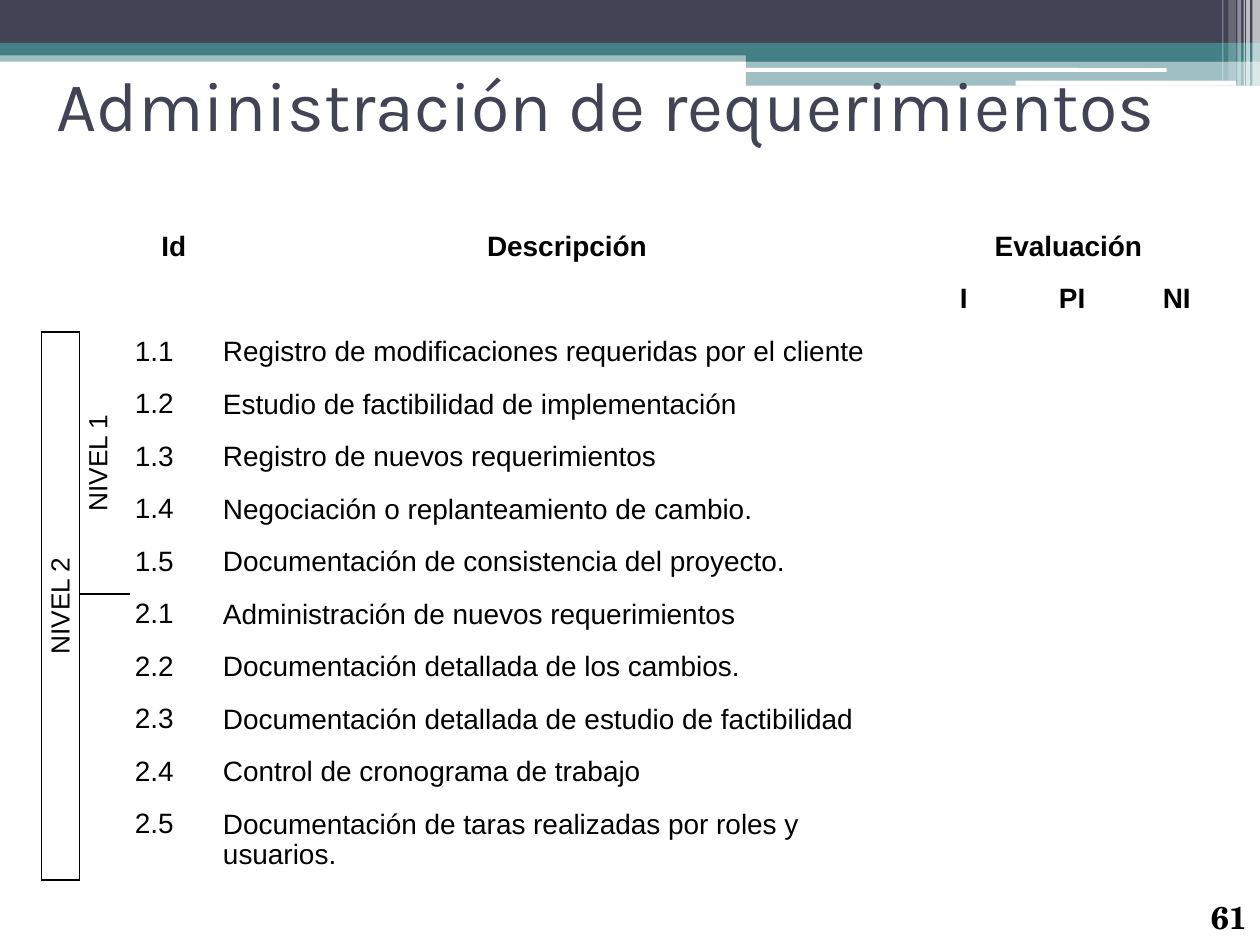
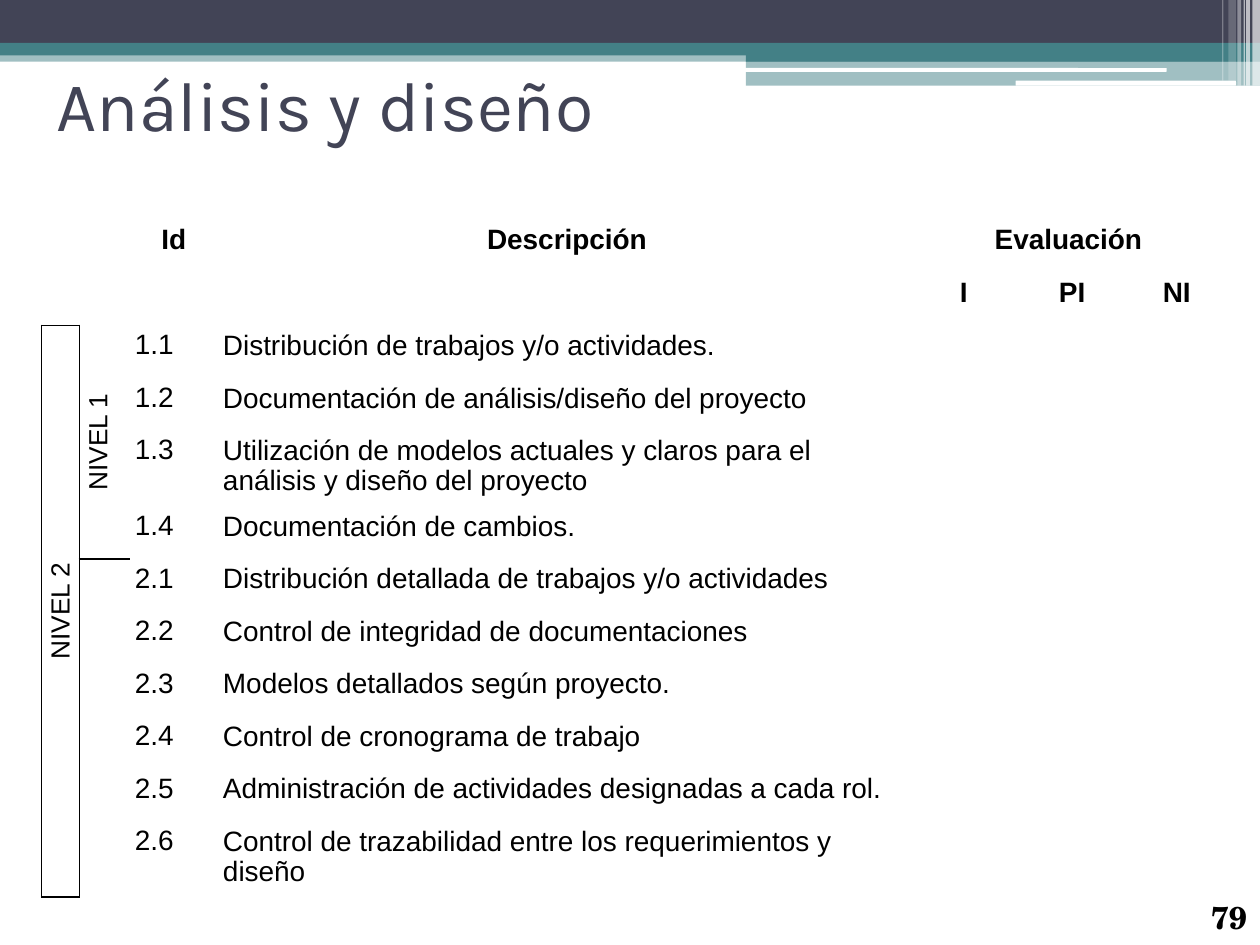
from lxml.etree import SubElement
from pptx import Presentation
from pptx.dml.color import RGBColor
from pptx.enum.shapes import MSO_SHAPE as Shape
from pptx.enum.text import MSO_ANCHOR as Anchor, PP_ALIGN as Align
from pptx.oxml.ns import qn
from pptx.util import Inches, Pt

COLORS = {"navy": "424456", "teal": "438086", "white": "FFFFFF", "black": "000000"}

# Header bands: left, top, width, height, colour, opacity in percent
BANDS = [
    (0, 0.4, 10, 0.09, "teal", 50),
    (0, 0, 10, 0.34, "navy", 100),
    (0, 0.34, 10, 0.1, "teal", 100),
    (5.92, 0.39, 4.08, 0.1, "teal", 100),
    (5.92, 0.48, 4.08, 0.2, "teal", 50),
]
ROUNDED_BARS = [
    (5.91, 0.54, 3.35, 0.03, "white", 100),
    (8.06, 0.64, 1.75, 0.04, "white", 100),
]
# Vertical stripes in the corner: left, width, height, opacity
STRIPES = [
    (9.94, 0.06, 0.68, 65), (9.89, 0.03, 0.68, 65), (9.87, 0.01, 0.68, 60),
    (9.82, 0.03, 0.68, 40), (9.75, 0.06, 0.64, 20), (9.7, 0.01, 0.64, 30),
]

# Checklist grid
COLUMN_WIDTHS = [0.3, 0.4, 0.7, 5.54, 0.76, 0.96, 0.7]
HEADER_ROWS = 2
ROW_HEIGHT, TWO_LINE_HEIGHT = Pt(30), Pt(42)
LINE_LIMIT = 53  # characters that fit on one line of a description
HAIR, THIN = 0.03, 1

SLIDES = [
    {
        "title": "Administración de requerimientos", "number": "61", "top": 1.8,
        "levels": [
            ["Registro de modificaciones requeridas por el cliente",
             "Estudio de factibilidad de implementación",
             "Registro de nuevos requerimientos",
             "Negociación o replanteamiento de cambio.",
             "Documentación de consistencia del proyecto."],
            ["Administración de nuevos requerimientos",
             "Documentación detallada de los cambios.",
             "Documentación detallada de estudio de factibilidad",
             "Control de cronograma de trabajo",
             "Documentación de taras realizadas por roles y usuarios."],
        ],
    },
    {
        "title": "Análisis y diseño", "number": "79", "top": 1.75,
        "levels": [
            ["Distribución de trabajos y/o actividades.",
             "Documentación de análisis/diseño del proyecto",
             "Utilización de modelos actuales y claros para el análisis "
             "y diseño del proyecto",
             "Documentación de cambios."],
            ["Distribución detallada de trabajos y/o actividades",
             "Control de integridad de documentaciones",
             "Modelos detallados según proyecto.",
             "Control de cronograma de trabajo",
             "Administración de actividades designadas a cada rol.",
             "Control de trazabilidad entre los requerimientos y diseño"],
        ],
    },
]


def rgb(color):
    return RGBColor.from_string(COLORS[color])


def style_text(paragraph, font_name, size, color="black", bold=False):
    for run in paragraph.runs:
        run.font.name = font_name
        run.font.size = Pt(size)
        run.font.bold = bold
        run.font.color.rgb = rgb(color)


def set_margins(target, left, top, right, bottom):
    target.margin_left, target.margin_top = Inches(left), Inches(top)
    target.margin_right, target.margin_bottom = Inches(right), Inches(bottom)


def add_band(slide, left, top, width, height, color, opacity, kind=Shape.RECTANGLE):
    band = slide.shapes.add_shape(
        kind, Inches(left), Inches(top), Inches(width), Inches(height))
    band.shadow.inherit = False
    band.line.fill.background()
    band.fill.solid()
    band.fill.fore_color.rgb = rgb(color)
    if opacity < 100:
        tint = band.fill._xPr.find(qn("a:solidFill"))[0]
        SubElement(tint, qn("a:alpha")).set("val", str(opacity * 1000))


def add_header(slide):
    for band in BANDS:
        add_band(slide, *band)
    for bar in ROUNDED_BARS:
        add_band(slide, *bar, kind=Shape.ROUNDED_RECTANGLE)
    for left, width, height, opacity in STRIPES:
        add_band(slide, left, 0, width, height, "white", opacity)


def add_text(slide, text, box, margins, anchor, font_name, size, color, bold=False):
    frame = slide.shapes.add_textbox(*map(Inches, box)).text_frame
    frame.word_wrap = True
    frame.vertical_anchor = anchor
    set_margins(frame, *margins)
    frame.text = text
    style_text(frame.paragraphs[0], font_name, size, color, bold)


def set_borders(cell, left=0, right=0, top=0, bottom=0):
    """Set border widths in points; 0 means no border."""
    properties = cell._tc.get_or_add_tcPr()
    for side, width in zip("LRTB", (left, right, top, bottom)):
        line = SubElement(properties, qn("a:ln" + side), w=str(Pt(width)))
        if width:
            fill = SubElement(line, qn("a:solidFill"))
            SubElement(fill, qn("a:srgbClr"), val=COLORS["black"])
        else:
            SubElement(line, qn("a:noFill"))


def border_widths(row, column, level_2_start):
    """Borders of the two level columns; the rest is a hairline grid."""
    if column > 1:
        return HAIR, HAIR, HAIR, HAIR
    if row < HEADER_ROWS:
        closing = (THIN, HAIR)[column] if row == HEADER_ROWS - 1 else 0
        return 0, HAIR * column, 0, closing
    if column == 0:
        return THIN, THIN, THIN, THIN
    if row < level_2_start:
        return THIN, HAIR, HAIR, THIN
    return THIN, HAIR, THIN if row == level_2_start else 0, 0


def fill_cell(cell, text, size=16, bold=False, align=Align.LEFT, spacing=0.93):
    cell.text = text
    paragraph = cell.text_frame.paragraphs[0]
    paragraph.alignment = align
    paragraph.line_spacing = spacing
    style_text(paragraph, "Arial", size, bold=bold)


def fill_level(table, column, last_row, text):
    level = table.cell(HEADER_ROWS, column)
    level.merge(table.cell(last_row, column))
    fill_cell(level, text, size=15, align=Align.CENTER)
    level.vertical_anchor = Anchor.MIDDLE
    level._tc.get_or_add_tcPr().set("vert", "vert270")


def add_checklist(slide, top, levels):
    items = [(f"{level}.{index}", description)
             for level, descriptions in enumerate(levels, 1)
             for index, description in enumerate(descriptions, 1)]
    row_count = HEADER_ROWS + len(items)
    level_2_start = HEADER_ROWS + len(levels[0])
    table = slide.shapes.add_table(
        row_count, len(COLUMN_WIDTHS), Inches(0.33), Inches(top),
        Inches(sum(COLUMN_WIDTHS)), ROW_HEIGHT * row_count).table
    table.first_row = table.horz_banding = False
    for column, width in zip(table.columns, COLUMN_WIDTHS):
        column.width = Inches(width)

    # Plain cells with their borders
    for row in range(row_count):
        for column in range(len(COLUMN_WIDTHS)):
            cell = table.cell(row, column)
            set_borders(cell, *border_widths(row, column, level_2_start))
            cell.fill.background()
            set_margins(cell, 0.04, 0.05, 0.04, 0.04)

    # Headings
    table.cell(0, 2).merge(table.cell(1, 2))
    table.cell(0, 3).merge(table.cell(1, 3))
    table.cell(0, 4).merge(table.cell(0, 6))
    headings = [(0, 2, "Id"), (0, 3, "Descripción"), (0, 4, "Evaluación"),
                (1, 4, "I"), (1, 5, "PI"), (1, 6, "NI")]
    for row, column, heading in headings:
        fill_cell(table.cell(row, column), heading, bold=True, align=Align.CENTER)

    # Levels and items
    fill_level(table, 0, row_count - 1, "NIVEL 2")
    fill_level(table, 1, level_2_start - 1, "NIVEL 1")
    for row, (item_id, description) in enumerate(items, HEADER_ROWS):
        fill_cell(table.cell(row, 2), item_id)
        fill_cell(table.cell(row, 3), description, spacing=0.96)
    for row in table.rows:
        row.height = ROW_HEIGHT
    for row, (_, description) in enumerate(items, HEADER_ROWS):
        if len(description) > LINE_LIMIT:
            table.rows[row].height = TWO_LINE_HEIGHT


def main():
    deck = Presentation()
    deck.slide_width, deck.slide_height = Inches(10), Inches(7.5)
    for content in SLIDES:
        slide = deck.slides.add_slide(deck.slide_layouts[6])
        add_header(slide)
        add_text(slide, content["title"], (0.36, 0.13, 9.29, 1.39),
                 (0.09, 0.04, 0.09, 0.05), Anchor.MIDDLE, "Karla", 40, "navy")
        add_text(slide, content["number"], (9.52, 7.07, 1.28, 0.43),
                 (0.09, 0.06, 0.09, 0.04), Anchor.TOP, "TeX Gyre Schola", 18,
                 "black", bold=True)
        add_checklist(slide, content["top"], content["levels"])
    deck.save("out.pptx")


main()
